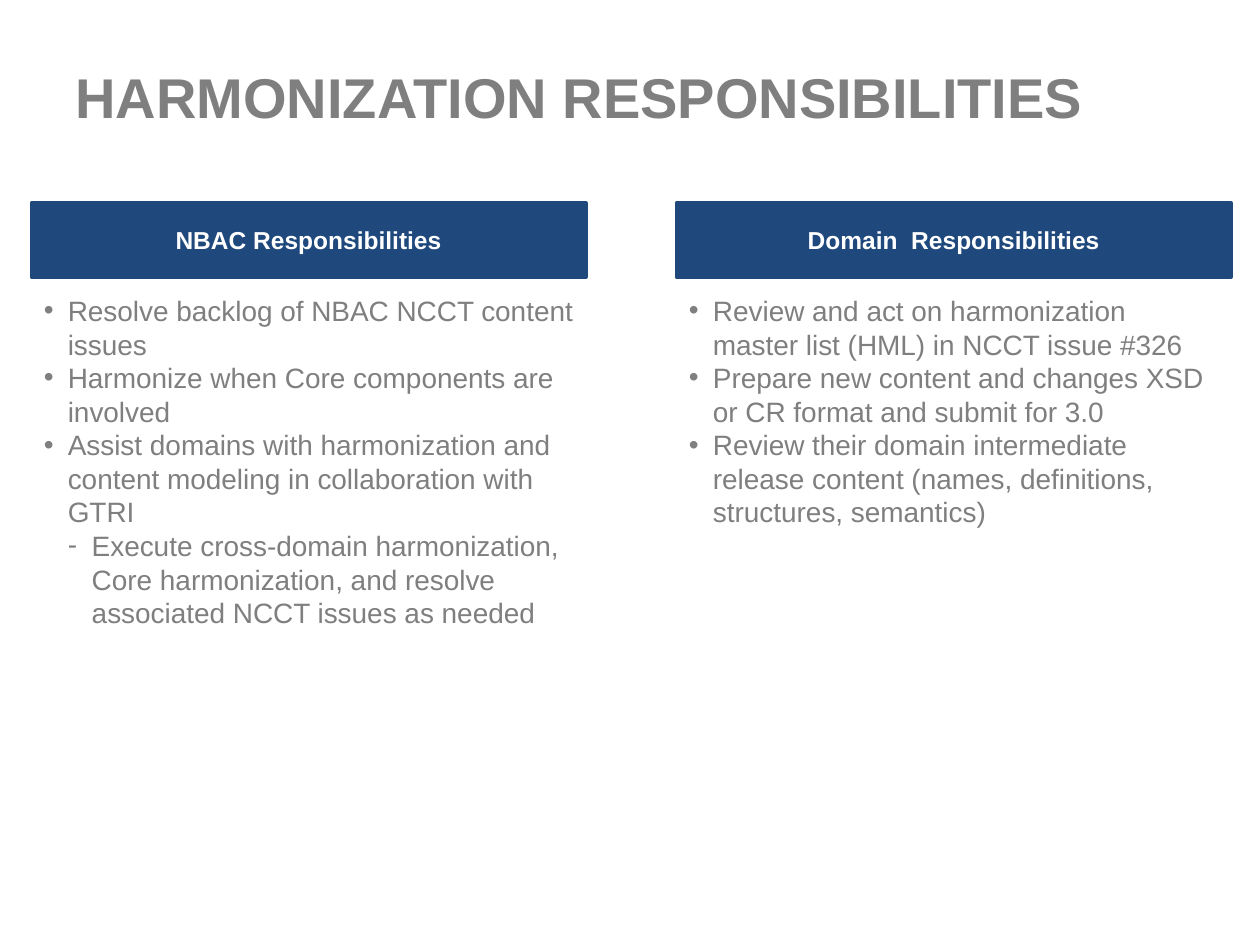
from dataclasses import dataclass

from lxml import etree
from pptx import Presentation
from pptx import util as u
from pptx.dml.color import RGBColor
from pptx.enum import shapes, text
from pptx.oxml import ns


@dataclass(frozen=True)
class Theme:
    font: str = "Arial"
    gray: RGBColor = RGBColor(0x7F, 0x7F, 0x7F)
    navy: RGBColor = RGBColor(0x1F, 0x49, 0x7D)
    white: RGBColor = RGBColor(0xFF, 0xFF, 0xFF)
    title_size: int = 32
    heading_size: int = 14
    body_size: int = 16


THEME = Theme()
BULLETS = ("•", "-")
COLUMN_WIDTH = 4.4
INDENT = 0.19

COLUMNS = [
    (0.25, 2.79, "NBAC Responsibilities", [
        (0, "Resolve backlog of NBAC NCCT content issues"),
        (0, "Harmonize when Core components are involved"),
        (0, "Assist domains with harmonization and content modeling in "
            "collaboration with GTRI"),
        (1, "Execute cross-domain harmonization, Core harmonization, and "
            "resolve associated NCCT issues as needed"),
    ]),
    (5.37, 1.99, "Domain  Responsibilities", [
        (0, "Review and act on harmonization master list (HML) in NCCT issue #326"),
        (0, "Prepare new content and changes XSD or CR format and submit for 3.0"),
        (0, "Review their domain intermediate release content (names, "
            "definitions, structures, semantics)"),
    ]),
]


def set_values(target, values):
    for name, value in values.items():
        setattr(target, name, value)


def write(paragraph, wording, size, color, bold=False):
    paragraph.add_run().text = wording
    set_values(paragraph.font, {"name": THEME.font, "size": u.Pt(size), "bold": bold})
    paragraph.font.color.rgb = color
    run_font = paragraph.runs[0].font
    set_values(run_font, {"name": THEME.font, "size": u.Pt(size), "bold": bold})
    run_font.color.rgb = color


def add_bullet(paragraph, level):
    paragraph.level = level
    properties = paragraph._p.get_or_add_pPr()
    properties.set("marL", str(u.Inches(INDENT * (level + 1))))
    properties.set("indent", str(-u.Inches(INDENT)))
    bullet_font = etree.SubElement(properties, ns.qn("a:buFont"))
    bullet_font.set("typeface", THEME.font)
    etree.SubElement(properties, ns.qn("a:buChar")).set("char", BULLETS[level])


def add_text_box(slide, left, top, width, height):
    shape = slide.shapes.add_textbox(
        u.Inches(left), u.Inches(top), u.Inches(width), u.Inches(height))
    set_values(shape.text_frame, {
        "word_wrap": True,
        "vertical_anchor": text.MSO_ANCHOR.TOP,
    })
    return shape.text_frame


def add_title(slide, wording):
    paragraph = add_text_box(slide, 0.5, 0.55, 9, 0.89).paragraphs[0]
    paragraph.line_spacing = 0.8
    write(paragraph, wording, THEME.title_size, THEME.gray, bold=True)


def add_heading(slide, left, wording):
    shape = slide.shapes.add_shape(
        shapes.MSO_SHAPE.RECTANGLE, u.Inches(left), u.Inches(1.61),
        u.Inches(COLUMN_WIDTH), u.Inches(0.59))
    shape.shadow.inherit = False
    shape.fill.solid()
    shape.fill.fore_color.rgb = THEME.navy
    shape.line.color.rgb = THEME.navy
    shape.line.width = u.Pt(2)
    set_values(shape.text_frame, {
        "word_wrap": True,
        "vertical_anchor": text.MSO_ANCHOR.MIDDLE,
    })
    paragraph = shape.text_frame.paragraphs[0]
    paragraph.alignment = text.PP_ALIGN.CENTER
    write(paragraph, wording, THEME.heading_size, THEME.white, bold=True)


def add_bullet_list(slide, left, height, items):
    frame = add_text_box(slide, left, 2.28, COLUMN_WIDTH, height)
    frame.auto_size = text.MSO_AUTO_SIZE.SHAPE_TO_FIT_TEXT
    for index, (level, wording) in enumerate(items):
        paragraph = frame.add_paragraph() if index else frame.paragraphs[0]
        add_bullet(paragraph, level)
        write(paragraph, wording, THEME.body_size, THEME.gray)


def main():
    presentation = Presentation()
    set_values(presentation, {
        "slide_width": u.Inches(10),
        "slide_height": u.Inches(7.5),
    })
    slide = presentation.slides.add_slide(presentation.slide_layouts[6])
    add_title(slide, "HARMONIZATION RESPONSIBILITIES")
    for left, list_height, heading, items in COLUMNS:
        add_bullet_list(slide, left, list_height, items)
        add_heading(slide, left, heading)
    presentation.save("out.pptx")


if __name__ == "__main__":
    main()
